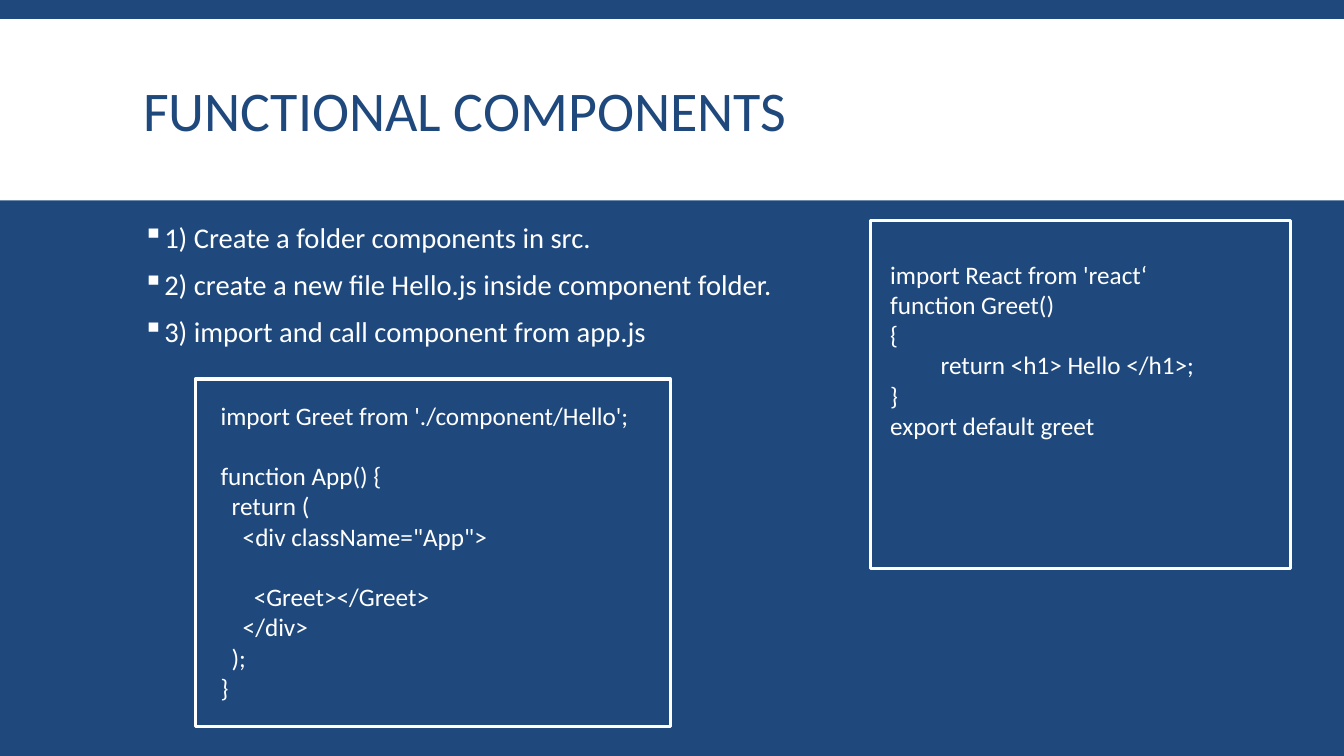
import pptx
import pptx.dml.color
import pptx.enum.shapes
import pptx.enum.text
import pptx.oxml
import pptx.oxml.ns
import pptx.util

NAVY = pptx.dml.color.RGBColor(0x1F, 0x49, 0x7D)
WHITE = pptx.dml.color.RGBColor(0xFF, 0xFF, 0xFF)

STEPS = [
    "1) Create a folder components in src.",
    "2) create a new file Hello.js inside component folder.",
    "3) import and call component from app.js",
]

# Code lines: (indent in inches, blank lines before, text)
TAB = 0.5
STEP = 0.11
GREET_CODE = [
    (0, 0, "import React from 'react‘"),
    (0, 0, "function Greet()"),
    (0, 0, "{"),
    (TAB, 0, "return <h1> Hello </h1>;"),
    (0, 0, "}"),
    (0, 0, "export default greet"),
]
APP_CODE = [
    (0, 0, "import Greet from './component/Hello';"),
    (0, 1, "function App() {"),
    (STEP, 0, "return ("),
    (2 * STEP, 0, '<div className="App">'),
    (3 * STEP, 1, "<Greet></Greet>"),
    (2 * STEP, 0, "</div>"),
    (STEP, 0, ");"),
    (0, 0, "}"),
]


class Deck:
    """Slide style; every box is (left, top, width, height) in percent of the slide."""

    font = "Calibri"
    code_size = 18
    code_line = 21.6  # height of one code line in points

    def __init__(self):
        self.prs = pptx.Presentation()
        self.prs.slide_width = pptx.util.Inches(13.33)
        self.prs.slide_height = pptx.util.Inches(7.5)
        self.s = self.prs.slides.add_slide(self.prs.slide_layouts[5])
        self.s.background.fill.solid()
        self.s.background.fill.fore_color.rgb = NAVY

    def place(self, box):
        width, height = self.prs.slide_width, self.prs.slide_height
        return [int(share * side / 100)
                for share, side in zip(box, (width, height, width, height))]

    def format(self, p, size, color):
        p.alignment = pptx.enum.text.PP_ALIGN.LEFT
        for r in p.runs:
            r.font.name = self.font
            r.font.size = pptx.util.Pt(size)
            r.font.color.rgb = color

    def title(self, text, box):
        sp = self.s.shapes.title
        sp.left, sp.top, sp.width, sp.height = self.place(box)
        tf = sp.text_frame
        tf.text = text
        tf.vertical_anchor = pptx.enum.text.MSO_ANCHOR.MIDDLE
        p = tf.paragraphs[0]
        p.line_spacing = 0.85
        self.format(p, 40, NAVY)

    def rect(self, box):
        sp = self.s.shapes.add_shape(
            pptx.enum.shapes.MSO_SHAPE.RECTANGLE, *self.place(box))
        sp.shadow.inherit = False
        return sp

    def band(self, box):
        sp = self.rect(box)
        sp.fill.solid()
        sp.fill.fore_color.rgb = WHITE
        sp.line.fill.background()
        # The band lies behind the title
        self.s.shapes.title.element.addprevious(sp.element)

    def frame(self, box):
        sp = self.rect(box)
        sp.fill.background()
        sp.line.color.rgb = WHITE
        sp.line.width = pptx.util.Pt(2.25)

    def text(self, lines, box):
        tf = self.s.shapes.add_textbox(*self.place(box)).text_frame
        tf.word_wrap = True
        tf.text = "\n".join(lines)
        return tf.paragraphs

    def bullets(self, lines, box):
        for p in self.text(lines, box):
            p.line_spacing = 0.8
            p.space_before = pptx.util.Pt(12)
            p.space_after = pptx.util.Pt(2)
            self.format(p, 20.4, WHITE)
            pPr = p._p.get_or_add_pPr()
            hang = pptx.util.Inches(0.2)
            pPr.set("marL", str(hang))
            pPr.set("indent", str(-hang))
            ns = pptx.oxml.ns.nsdecls("a")
            pPr.append(pptx.oxml.parse_xml(
                f'<a:buClr {ns}><a:srgbClr val="{WHITE}"/></a:buClr>'))
            pPr.append(pptx.oxml.parse_xml(f'<a:buChar {ns} char="▪"/>'))

    def code(self, lines, box):
        paragraphs = self.text([text for _, _, text in lines], box)
        for p, (indent, blanks, _) in zip(paragraphs, lines):
            p.space_before = pptx.util.Pt(blanks * self.code_line)
            self.format(p, self.code_size, WHITE)
            p._p.get_or_add_pPr().set("marL", str(pptx.util.Inches(indent)))


def main():
    deck = Deck()

    # Header
    deck.band((0, 2.53, 100, 24))
    deck.title("FUNCTIONAL COMPONENTS", (9.9, 4.13, 80.27, 22))

    # Steps
    deck.bullets(STEPS, (9.9, 29.33, 80.27, 18.4))

    # Greet component
    deck.frame((64.8, 29.2, 31.2, 46))
    deck.code(GREET_CODE, (65.5, 33.6, 29.8, 25.6))

    # App component
    deck.code(APP_CODE, (15.67, 52.27, 32.55, 41.73))
    deck.frame((14.55, 50.13, 35.33, 46))

    deck.prs.save("out.pptx")


if __name__ == "__main__":
    main()
